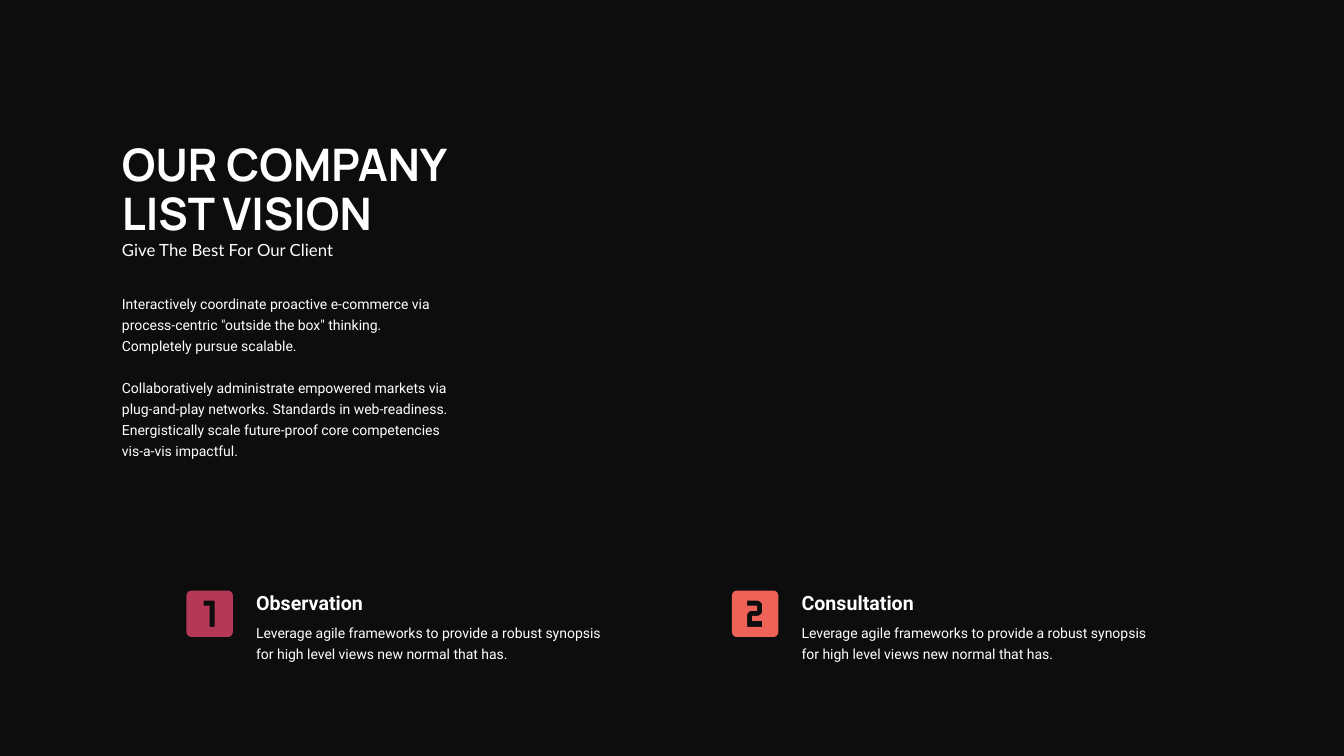
import math

import pptx
import pptx.dml.color
import pptx.enum.text
import pptx.util
from pptx.util import Inches

INK = pptx.dml.color.RGBColor(0x0D, 0x0D, 0x0D)
WHITE = pptx.dml.color.RGBColor(0xFF, 0xFF, 0xFF)
BERRY = pptx.dml.color.RGBColor(0xB5, 0x39, 0x57)
CORAL = pptx.dml.color.RGBColor(0xEF, 0x62, 0x57)

deck = pptx.Presentation()
deck.slide_width = Inches(13.33)
deck.slide_height = Inches(7.5)
page = deck.slides.add_slide(deck.slide_layouts[6])
page.background.fill.solid()
page.background.fill.fore_color.rgb = INK


def add_text(left, top, width, height, lines, font, size, bold=False, leading=None, gap=0):
    """Add a white text box without margins; leading and gap are in points."""
    box = page.shapes.add_textbox(Inches(left), Inches(top), Inches(width), Inches(height))
    frame = box.text_frame
    frame.word_wrap = True
    frame.auto_size = pptx.enum.text.MSO_AUTO_SIZE.SHAPE_TO_FIT_TEXT
    frame.margin_left = frame.margin_right = frame.margin_top = frame.margin_bottom = 0
    for index, line in enumerate(lines):
        para = frame.add_paragraph() if index else frame.paragraphs[0]
        if leading:
            para.line_spacing = pptx.util.Pt(leading)
        if index and gap:
            para.space_before = pptx.util.Pt(gap)
        span = para.add_run()
        span.text = line
        span.font.name = font
        span.font.size = pptx.util.Pt(size)
        span.font.bold = bold
        span.font.color.rgb = WHITE
    return box


def quarter_arc(x, y, start):
    """Points of a clockwise quarter circle around (x, y), from start degrees."""
    angles = [math.radians(start + step * 15) for step in range(7)]
    return [(x + 0.05 * math.cos(a), y + 0.05 * math.sin(a)) for a in angles]


# Heading and introduction
title = add_text(1.21, 1.4, 3.35, 0.98, ["OUR COMPANY", "LIST VISION"],
                 "Manrope", 32, bold=True, leading=35)
title.text_frame.vertical_anchor = pptx.enum.text.MSO_ANCHOR.MIDDLE
add_text(1.21, 2.38, 3.35, 0.2, ["Give The Best For Our Client"], "Lato", 12)
add_text(1.21, 2.89, 3.23, 1.67, [
    "Interactively coordinate proactive e-commerce via process-centric "
    "\"outside the box\" thinking. Completely pursue scalable.",
    "Collaboratively administrate empowered markets via plug-and-play networks. "
    "Standards in web-readiness. Energistically scale future-proof core "
    "competencies vis-a-vis impactful.",
], "Roboto", 10, leading=15, gap=15)

# Numbered tiles: each digit is a hole in a rounded square
tile_outline = (quarter_arc(0.41, 0.05, 270) + quarter_arc(0.41, 0.41, 0)
                + quarter_arc(0.05, 0.41, 90) + quarter_arc(0.05, 0.05, 180))
digit_one = [(0.28, 0.36), (0.28, 0.1), (0.17, 0.1), (0.17, 0.15), (0.23, 0.15), (0.23, 0.36)]
digit_two = ([(0.15, 0.1)] + quarter_arc(0.25, 0.15, 270) + quarter_arc(0.25, 0.2, 0)
             + [(0.2, 0.25), (0.2, 0.3), (0.3, 0.3), (0.3, 0.36), (0.15, 0.36)]
             + quarter_arc(0.2, 0.25, 180) + [(0.25, 0.2), (0.25, 0.15), (0.15, 0.15)])
steps = [
    (1.85, "Observation", digit_one, BERRY),
    (7.26, "Consultation", digit_two, CORAL),
]
TILE_TOP = 5.86
for left, name, digit, color in steps:
    outline, hole = [
        [(Inches(left + x), Inches(TILE_TOP + y)) for x, y in contour]
        for contour in (tile_outline, digit)
    ]
    builder = page.shapes.build_freeform(*outline[0])
    builder.add_line_segments(outline[1:], close=True)
    builder.move_to(*hole[0])
    builder.add_line_segments(hole[1:], close=True)
    tile = builder.convert_to_shape()
    tile.shadow.inherit = False
    tile.fill.solid()
    tile.fill.fore_color.rgb = color
    tile.line.fill.background()

    add_text(left + 0.69, TILE_TOP, 3.54, 0.24, [name], "Roboto", 14, bold=True)
    add_text(left + 0.69, 6.15, 3.54, 0.4, [
        "Leverage agile frameworks to provide a robust synopsis "
        "for high level views new normal that has.",
    ], "Roboto", 10, leading=15)

deck.save("out.pptx")
